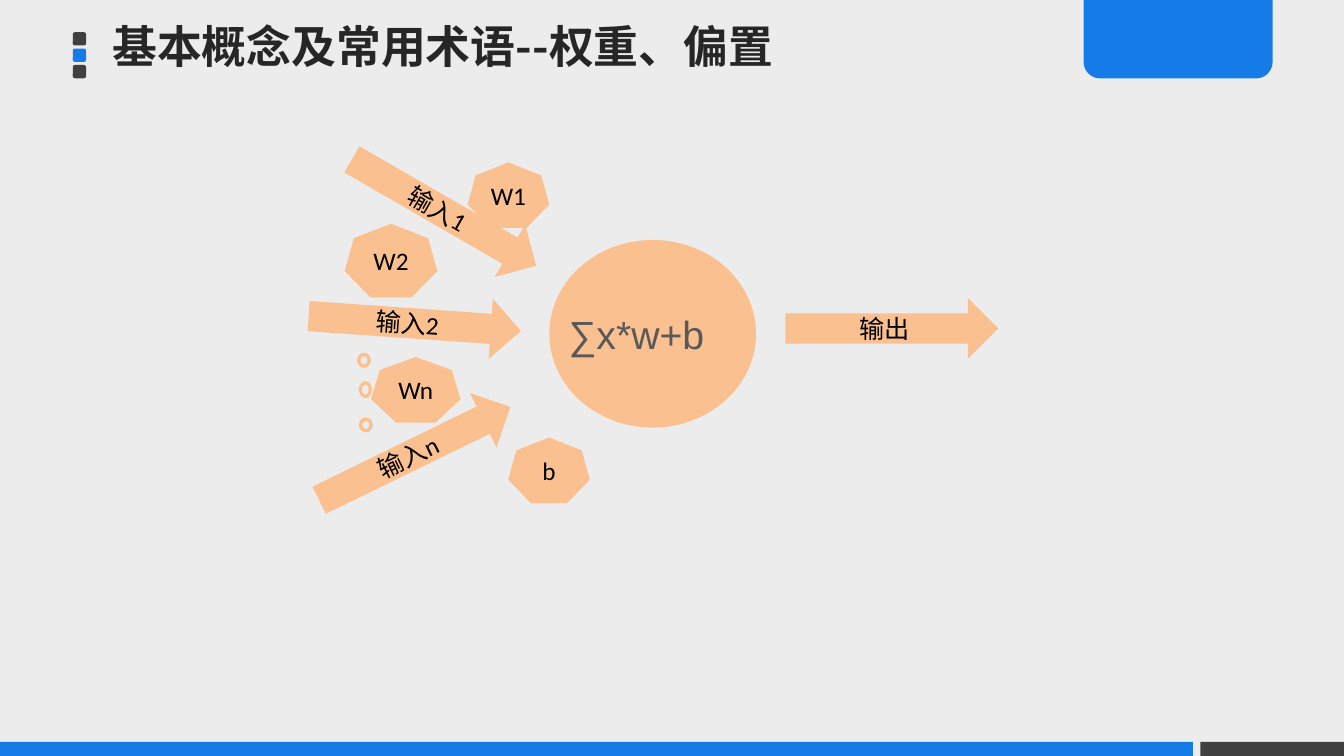
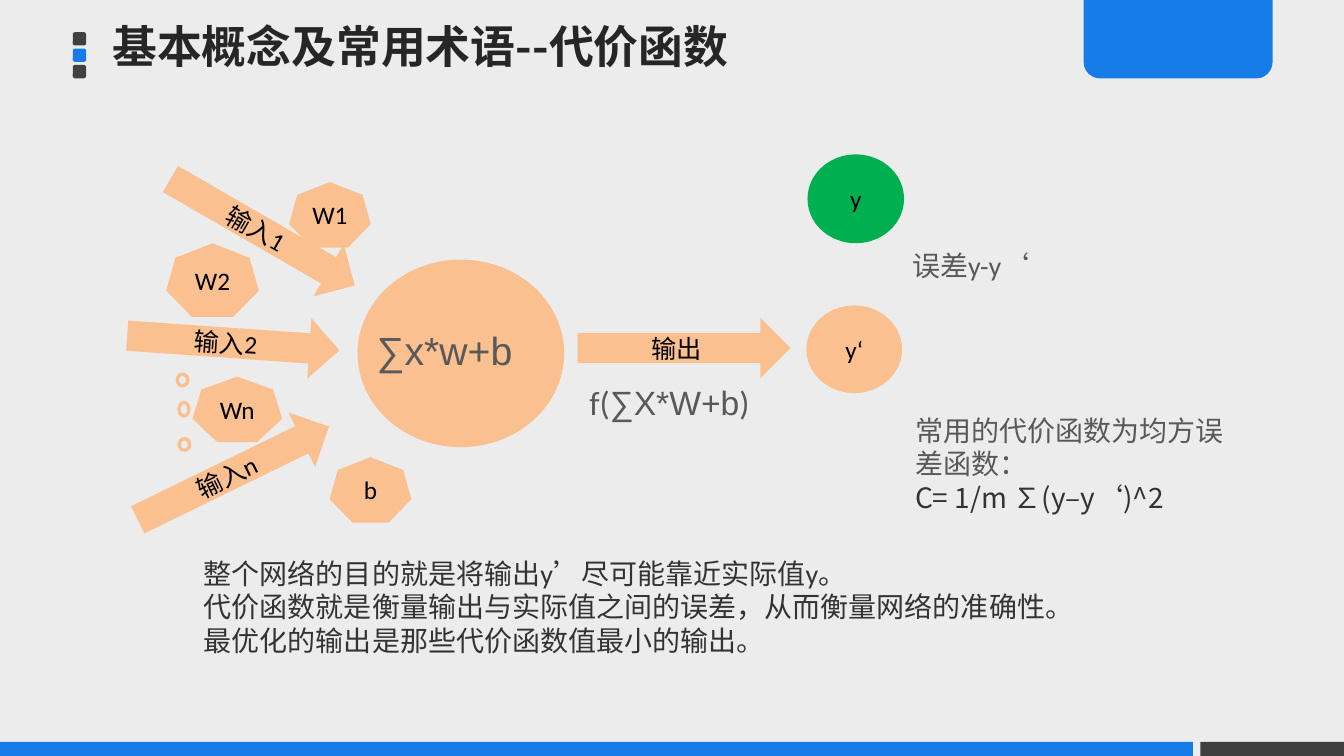
"""Builds two slides on neuron weights, bias and the cost function."""
from lxml import etree
from pptx import Presentation
from pptx.dml.color import RGBColor
from pptx.enum.shapes import MSO_SHAPE
from pptx.enum.text import MSO_ANCHOR, PP_ALIGN
from pptx.oxml.ns import qn
from pptx.util import Pt

COLORS = {"back": "ECECEC", "blue": "157CE7", "dark": "404040", "title": "262626",
          "peach": "FAC090", "green": "00B050", "grey": "595959", "body": "333333",
          "black": "000000"}
CJK = "Noto Sans CJK SC"


def add_shape(slide, kind, box, color, rotation=0):
    sp = slide.shapes.add_shape(kind, *[Pt(v) for v in box])
    sp.shadow.inherit = False
    sp.fill.solid()
    sp.fill.fore_color.rgb = RGBColor.from_string(COLORS[color])
    sp.line.fill.background()
    sp.rotation = rotation
    return sp


def write(sp, paragraphs, size, align=PP_ALIGN.LEFT):
    tf = sp.text_frame
    for i, runs in enumerate(paragraphs):
        p = tf.paragraphs[0] if i == 0 else tf.add_paragraph()
        p.alignment = align
        p.line_spacing = Pt(round(size * 1.2, 1))
        for text, font, color in runs:
            r = p.add_run()
            r.text = text
            r.font.size = Pt(size)
            r.font.name = font
            r.font.color.rgb = RGBColor.from_string(COLORS[color])
            etree.SubElement(r.font._element, qn("a:ea")).set("typeface", CJK)
    return tf


prs = Presentation()
prs.slide_width, prs.slide_height = Pt(960), Pt(540)
layout = prs.slide_layouts[5]
layout.background.fill.solid()
layout.background.fill.fore_color.rgb = RGBColor.from_string(COLORS["back"])

titles = ["基本概念及常用术语--权重、偏置", "基本概念及常用术语--代价函数"]
slides = [prs.slides.add_slide(layout) for _ in titles]

tab = add_shape(slides[0], MSO_SHAPE.ROUND_2_SAME_RECTANGLE, (774, 0, 135, 56), "blue", 180)
tab.adjustments[0] = 0.21
frame = [tab]
for i, color in enumerate(["dark", "blue", "dark"]):
    frame.append(add_shape(slides[0], MSO_SHAPE.ROUNDED_RECTANGLE,
                           (52, 23 + 11.7 * i, 9.5, 9.5), color))
for left, width, color in [(857.5, 102.5, "dark"), (0, 852, "blue")]:
    frame.append(add_shape(slides[0], MSO_SHAPE.RECTANGLE, (left, 530, width, 10), color))
for sp in frame:
    layout.shapes.element.append(sp.element)

inputs = [("输入1", 241.2, 130.3, 30), ("输入2", 220.3, 209.5, 4), ("输入n", 220.3, 302.4, -26)]
dots = [(255, 252, 10, 10.8), (256.3, 272.2, 9.4, 12.2), (256.3, 298.1, 10, 10.8)]
weights = [("W1", 334, 116, 58.3, 46.8), ("W2", 246.2, 159.8, 66.2, 52.6),
           ("Wn", 265, 255, 64, 46.8), ("b", 363, 312.5, 58.3, 46.8)]
shifts = [{"cell": 0, "weight": 0, "output": 0, "down": 0},
          {"cell": -137, "weight": -127.5, "output": -148.3, "input": -129.6, "down": 14}]

for s, title, shift in zip(slides, titles, shifts):
    sp = s.shapes.title
    sp.left, sp.top, sp.width, sp.height = Pt(73), Pt(14.4), Pt(525), Pt(65)
    tf = sp.text_frame
    tf.text = title
    tf.vertical_anchor = MSO_ANCHOR.TOP
    p = tf.paragraphs[0]
    p.alignment, p.line_spacing = PP_ALIGN.LEFT, 0.9
    font = p.runs[0].font
    font.name, font.size, font.bold = CJK, Pt(32), True
    font.color.rgb = RGBColor.from_string(COLORS["title"])
    etree.SubElement(font._element, qn("a:ea")).set("typeface", CJK)

    down, dx = shift["down"], shift.get("input", 0)
    add_shape(s, MSO_SHAPE.OVAL, (392.4 + shift["cell"], 171.4 + down, 147.6, 134), "peach")
    labelled = []
    for text, left, top, angle in inputs:
        labelled.append((text, MSO_SHAPE.RIGHT_ARROW,
                         (left + dx, top + down, 152, 43.2), "peach", angle))
    labelled.append(("输出", MSO_SHAPE.RIGHT_ARROW,
                     (561 + shift["output"], 213 + down, 152, 43.2), "peach", 0))
    for text, left, top, width, height in weights:
        labelled.append((text, MSO_SHAPE.HEPTAGON,
                         (left + shift["weight"], top + down, width, height), "peach", 0))
    if s is slides[1]:
        labelled.append(("y‘", MSO_SHAPE.OVAL, (576, 218.2, 68.4, 62.6), "peach", 0))
        labelled.append(("y", MSO_SHAPE.OVAL, (576.8, 110.3, 69, 63.4), "green", 0))
    for left, top, width, height in dots:
        add_shape(s, MSO_SHAPE.DONUT, (left + dx, top + down, width, height), "peach")
    for text, *look in labelled:
        sp = add_shape(s, *look)
        tf = write(sp, [[(text, "Calibri", "black")]], 18, PP_ALIGN.CENTER)
        tf.vertical_anchor, tf.word_wrap = MSO_ANCHOR.MIDDLE, False
        tf.margin_left = tf.margin_right = tf.margin_top = tf.margin_bottom = 0

notes = [
    (slides[0], (399, 218.2, 147.6, 41), 28, [[("∑x*w+b", "Arial", "grey")]]),
    (slides[1], (262, 229.7, 147.6, 41), 28, [[("∑x*w+b", "Arial", "grey")]]),
    (slides[1], (414, 269.3, 134.6, 36), 24,
     [[("f(", "Calibri", "grey"), ("∑X*W+b", "Arial", "grey"), (")", "Calibri", "grey")]]),
    (slides[1], (138.5, 393.8, 720, 80), 20,
     [[("整个网络的目的就是将输出y", "Calibri", "body"), ("’", CJK, "body"),
       ("尽可能靠近实际值y。", "Calibri", "body")],
      [("代价函数就是衡量输出与实际值之间的误差，从而衡量网络的准确性。", "Calibri", "body")],
      [("最优化的输出是那些代价函数值最小的输出。", "Calibri", "body")]]),
    (slides[1], (644.4, 174.2, 136, 31.7), 20,
     [[("误差y-y", "Calibri", "grey"), ("‘", CJK, "grey")]]),
    (slides[1], (646.5, 291.6, 240, 104.4), 20,
     [[("常用的代价函数为均方误差函数：", "Calibri", "grey")],
      [("C= 1/m ∑(y–y‘)^2", CJK, "body")]]),
]
for s, box, size, paragraphs in notes:
    sp = s.shapes.add_textbox(*[Pt(v) for v in box])
    write(sp, paragraphs, size).word_wrap = True

prs.save("out.pptx")
